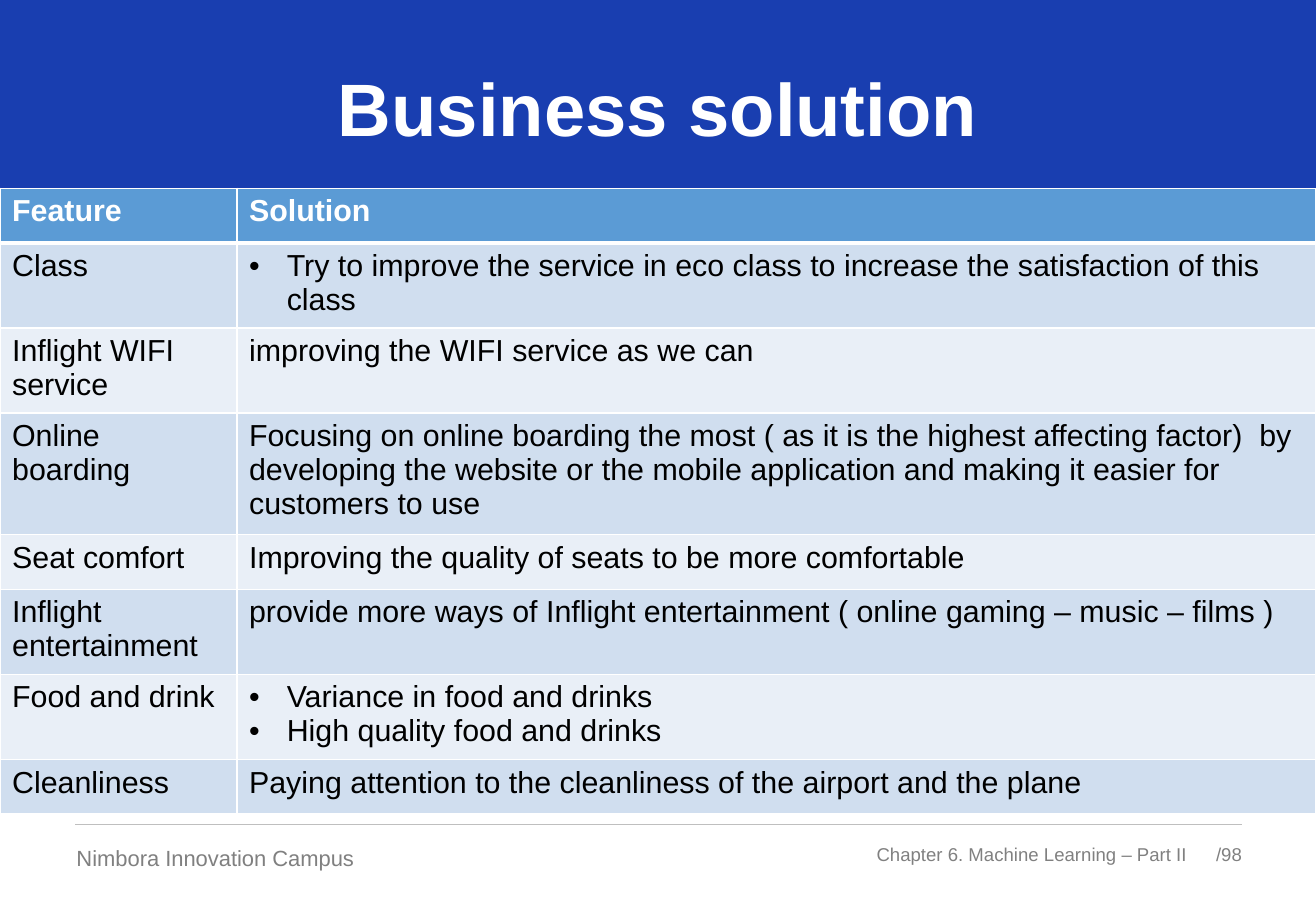
from lxml.etree import SubElement
from pptx import Presentation
from pptx.dml.color import RGBColor
from pptx.enum.shapes import MSO_CONNECTOR, MSO_SHAPE
from pptx.enum.text import MSO_ANCHOR, PP_ALIGN
from pptx.oxml.ns import qn
from pptx.util import Inches, Pt

BANNER_BLUE = RGBColor(0x19, 0x3E, 0xB0)
HEADER_BLUE = RGBColor(0x5B, 0x9B, 0xD5)
BAND_DARK = RGBColor(0xD0, 0xDE, 0xEF)
BAND_LIGHT = RGBColor(0xE9, 0xEF, 0xF7)
WHITE = RGBColor(0xFF, 0xFF, 0xFF)
BLACK = RGBColor(0x00, 0x00, 0x00)
GRAY = RGBColor(0x80, 0x80, 0x80)
RULE_GRAY = RGBColor(0xBF, 0xBF, 0xBF)

FONT = "Arial"
SLIDE_WIDTH, SLIDE_HEIGHT = 10.83, 7.5
COLUMN_WIDTHS = [1.95, 8.88]
ROW_HEIGHTS = [0.45, 0.68, 0.68, 0.97, 0.45, 0.68, 0.68, 0.45]

# Feature and solution; a list of solutions is shown with bullets
ROWS = [
    ("Feature", "Solution"),
    ("Class", ["Try to improve the service in eco class to increase the "
               "satisfaction of this class"]),
    ("Inflight WIFI service", "improving the WIFI service as we can"),
    ("Online boarding",
     "Focusing on online boarding the most ( as it is the highest affecting "
     "factor)  by developing the website or the mobile application and making "
     "it easier for customers to use"),
    ("Seat comfort", "Improving the quality of seats to be more comfortable"),
    ("Inflight entertainment",
     "provide more ways of Inflight entertainment ( online gaming – music – films )"),
    ("Food and drink", ["Variance in food and drinks",
                        "High quality food and drinks"]),
    ("Cleanliness",
     "Paying attention to the cleanliness of the airport and the plane"),
]


def add_span(para, text, size, color, bold=False):
    span = para.add_run()
    span.text = text
    span.font.name = FONT
    span.font.size = Pt(size)
    span.font.bold = bold
    span.font.color.rgb = color


def clear_margins(frame):
    frame.margin_left = frame.margin_right = 0
    frame.margin_top = frame.margin_bottom = 0


def add_banner(page):
    banner = page.shapes.add_shape(
        MSO_SHAPE.RECTANGLE, 0, 0, Inches(SLIDE_WIDTH), Inches(2.26))
    banner.shadow.inherit = False
    banner.fill.solid()
    banner.fill.fore_color.rgb = BANNER_BLUE
    banner.line.fill.background()
    # Keep the banner behind the title
    page.shapes.title.element.addprevious(banner.element)


def set_title(page, text):
    title = page.shapes.title
    title.left, title.top = Inches(0.54), Inches(0.3)
    title.width, title.height = Inches(9.75), Inches(1.25)
    frame = title.text_frame
    clear_margins(frame)
    frame.vertical_anchor = MSO_ANCHOR.MIDDLE
    para = frame.paragraphs[0]
    para.alignment = PP_ALIGN.CENTER
    para.line_spacing = 0.9
    add_span(para, text, 44, WHITE, bold=True)


def add_rule(page):
    rule = page.shapes.add_connector(
        MSO_CONNECTOR.STRAIGHT,
        Inches(0.62), Inches(6.79), Inches(10.22), Inches(6.79))
    rule.line.color.rgb = RULE_GRAY
    rule.line.width = Pt(0.75)
    SubElement(rule.element.spPr, qn("a:effectLst"))


def add_label(page, text, left, top, width, height, size, align, anchor):
    box = page.shapes.add_textbox(
        Inches(left), Inches(top), Inches(width), Inches(height))
    frame = box.text_frame
    frame.word_wrap = True
    clear_margins(frame)
    frame.vertical_anchor = anchor
    para = frame.paragraphs[0]
    para.alignment = align
    add_span(para, text, size, GRAY)


def add_bullet(para):
    properties = para._p.get_or_add_pPr()
    properties.set("marL", str(Inches(0.31)))
    properties.set("indent", str(-Inches(0.31)))
    SubElement(properties, qn("a:buFont"), typeface=FONT)
    SubElement(properties, qn("a:buChar"), char="•")


def set_borders(cell, widths):
    properties = cell._tc.get_or_add_tcPr()
    for side, width in widths.items():
        line = SubElement(properties, qn(f"a:ln{side}"), w=str(Pt(width)))
        fill = SubElement(line, qn("a:solidFill"))
        SubElement(fill, qn("a:srgbClr"), val=str(WHITE))


def fill_cell(cell, content, row):
    header = row == 0
    set_borders(cell, {"L": 1, "R": 1,
                       "T": 3 if row == 1 else 1,
                       "B": 3 if header else 1})
    cell.fill.solid()
    band = BAND_DARK if row % 2 else BAND_LIGHT
    cell.fill.fore_color.rgb = HEADER_BLUE if header else band
    bulleted = isinstance(content, list)
    frame = cell.text_frame
    for index, text in enumerate(content if bulleted else [content]):
        para = frame.add_paragraph() if index else frame.paragraphs[0]
        if bulleted:
            add_bullet(para)
        add_span(para, text, 18, WHITE if header else BLACK, bold=header)


def add_solution_table(page):
    table = page.shapes.add_table(
        len(ROWS), len(COLUMN_WIDTHS), 0, Inches(1.55),
        Inches(sum(COLUMN_WIDTHS)), Inches(sum(ROW_HEIGHTS))).table
    for column, width in zip(table.columns, COLUMN_WIDTHS):
        column.width = Inches(width)
    for row, height in enumerate(ROW_HEIGHTS):
        table.rows[row].height = Inches(height)
        for column, content in enumerate(ROWS[row]):
            fill_cell(table.cell(row, column), content, row)


def main():
    deck = Presentation()
    deck.slide_width = Inches(SLIDE_WIDTH)
    deck.slide_height = Inches(SLIDE_HEIGHT)
    page = deck.slides.add_slide(deck.slide_layouts[5])

    # Heading
    add_banner(page)
    set_title(page, "Business solution")

    # Footer
    add_rule(page)
    add_label(page, "Nimbora Innovation Campus", 0.63, 6.95, 3.16, 0.22,
              13, PP_ALIGN.LEFT, MSO_ANCHOR.TOP)
    add_label(page, "Chapter 6. Machine Learning – Part II", 6.95, 6.94, 2.82, 0.18,
              11, PP_ALIGN.RIGHT, MSO_ANCHOR.MIDDLE)
    add_label(page, "/98", 9.63, 6.85, 0.59, 0.37,
              11, PP_ALIGN.RIGHT, MSO_ANCHOR.MIDDLE)

    # Features and their solutions
    add_solution_table(page)

    deck.save("out.pptx")


if __name__ == "__main__":
    main()
